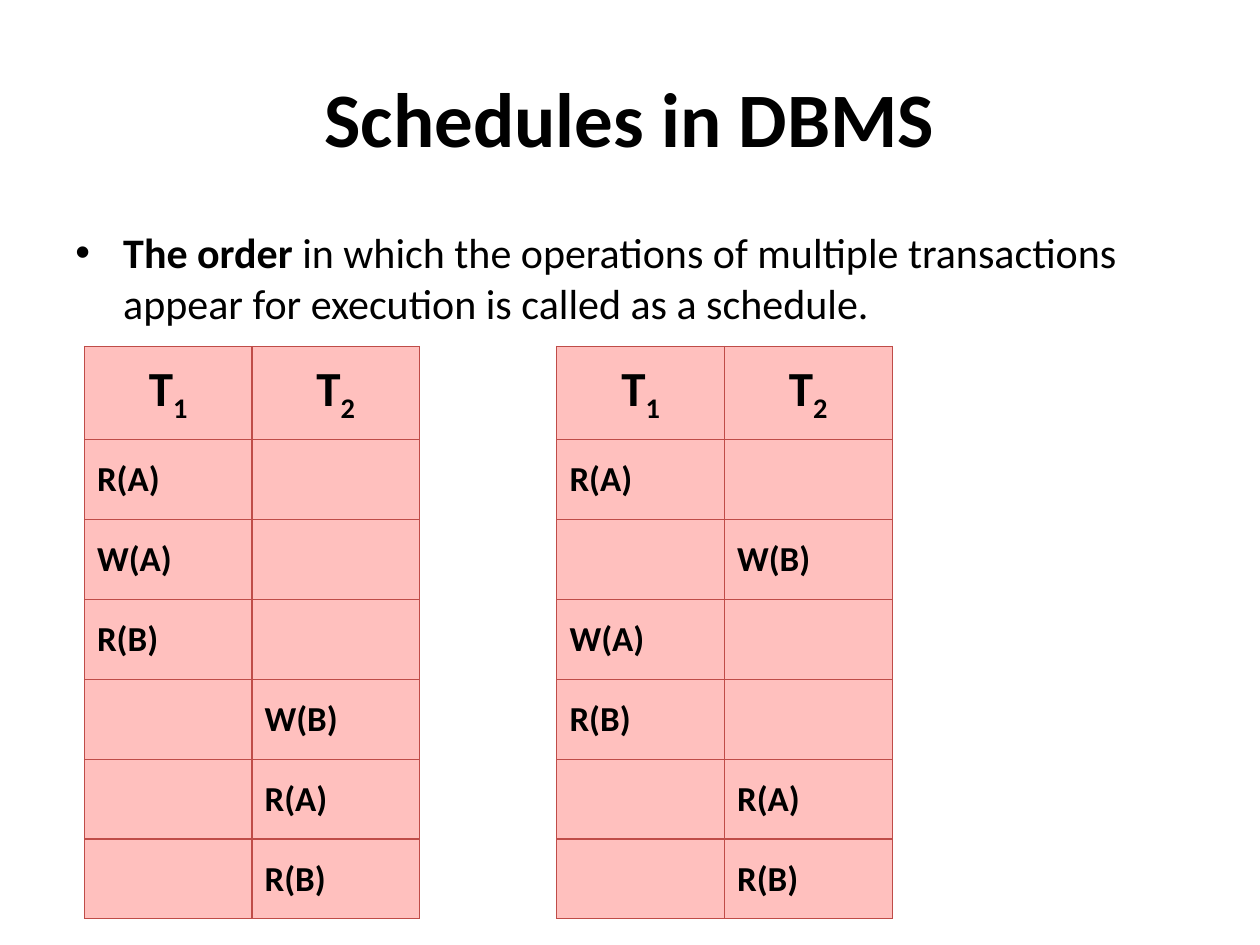
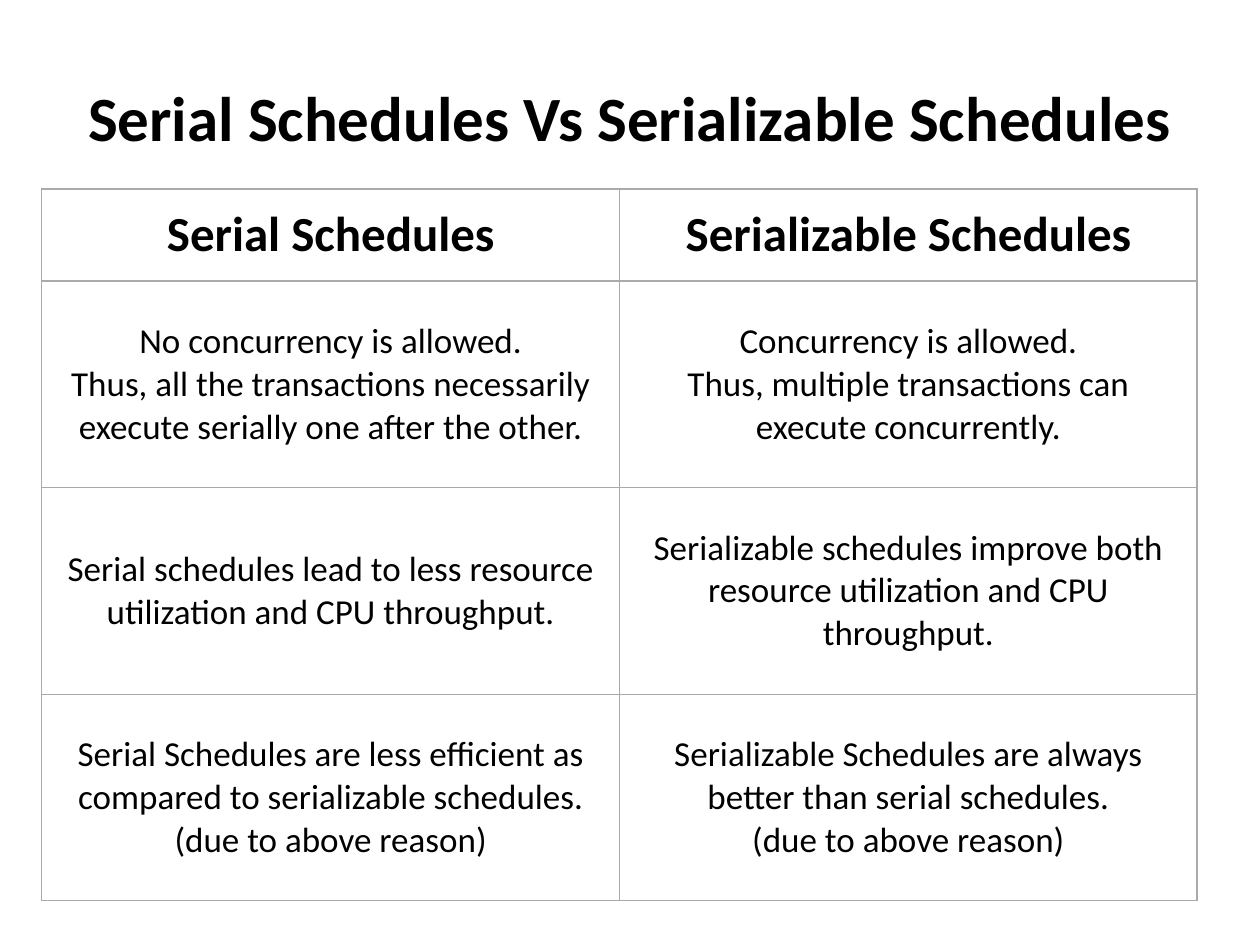
import pptx
import pptx.util
import pptx.dml.color
import pptx.enum.text
import pptx.oxml
import pptx.oxml.ns
from lxml import etree

Inches = pptx.util.Inches
Pt = pptx.util.Pt
CENTER = pptx.enum.text.PP_ALIGN.CENTER
LEFT = pptx.enum.text.PP_ALIGN.LEFT
MIDDLE = pptx.enum.text.MSO_ANCHOR.MIDDLE
qn = pptx.oxml.ns.qn

COLORS = {
    "text": "000000",
    "paper": "FFFFFF",
    "pink": "FFC0BE",
    "red line": "BF4C48",
    "gray line": "AAAAAA",
}
FONT = "Calibri"


def write_spans(para, spans, size, align):
    """Fill a paragraph with (text, bold, subscript) spans."""
    para.alignment = align
    for text, bold, subscript in spans:
        span = para.add_run()
        span.text = text
        span.font.name = FONT
        span.font.size = Pt(size)
        span.font.bold = bold
        span.font.color.rgb = pptx.dml.color.RGBColor.from_string(COLORS["text"])
        if subscript:
            span.font._element.set("baseline", "-25000")


def add_grid(page, left, top, widths, heights, line, fill):
    """Add a plain table with thin borders and one fill colour."""
    frame = page.shapes.add_table(len(heights), len(widths), Inches(left), Inches(top),
                                  Inches(sum(widths)), Inches(sum(heights)))
    grid = frame.table
    grid.first_row = grid.horz_banding = False
    for column, width in zip(grid.columns, widths):
        column.width = Inches(width)
    for row, height in zip(grid.rows, heights):
        row.height = Inches(height)
    for cell in grid.iter_cells():
        cell.vertical_anchor = MIDDLE
        cell_format = cell._tc.get_or_add_tcPr()
        for side in ("lnL", "lnR", "lnT", "lnB"):
            border = etree.SubElement(cell_format, qn("a:" + side), w=str(Pt(0.75)))
            paint = etree.SubElement(border, qn("a:solidFill"))
            etree.SubElement(paint, qn("a:srgbClr"), val=COLORS[line])
        cell.fill.solid()
        cell.fill.fore_color.rgb = pptx.dml.color.RGBColor.from_string(COLORS[fill])
    return grid


deck = pptx.Presentation()
deck.slide_width, deck.slide_height = Inches(10), Inches(7.5)

# Pages with their titles
pages = []
for title, size in (("Schedules in DBMS", 44),
                    ("Serial Schedules Vs Serializable Schedules", 36)):
    page = deck.slides.add_slide(deck.slide_layouts[6])
    box = page.shapes.add_textbox(Inches(0.5), Inches(0.3), Inches(9), Inches(1.25))
    box.text_frame.word_wrap = True
    box.text_frame.vertical_anchor = MIDDLE
    write_spans(box.text_frame.paragraphs[0], [(title, True, False)], size, CENTER)
    pages.append(page)
schedules_page, comparison_page = pages

# Definition of a schedule
box = schedules_page.shapes.add_textbox(Inches(0.5), Inches(1.75), Inches(9), Inches(4.95))
box.text_frame.word_wrap = True
para = box.text_frame.paragraphs[0]
write_spans(para, [
    ("The order", True, False),
    (" in which the operations of multiple transactions appear for execution "
     "is called as a schedule.", False, False),
], 24, LEFT)
para.space_before = Pt(4.8)
para_format = para._p.get_or_add_pPr()
para_format.set("marL", str(Inches(0.38)))
para_format.set("indent", str(-Inches(0.38)))
etree.SubElement(para_format, qn("a:buFont"), typeface="Arial")
etree.SubElement(para_format, qn("a:buChar"), char="•")

# Two schedules: each step is (transaction number, operation)
schedules = [
    [(1, "R(A)"), (1, "W(A)"), (1, "R(B)"), (2, "W(B)"), (2, "R(A)"), (2, "R(B)")],
    [(1, "R(A)"), (2, "W(B)"), (1, "W(A)"), (1, "R(B)"), (2, "R(A)"), (2, "R(B)")],
]
for index, steps in enumerate(schedules):
    grid = add_grid(schedules_page, 0.67 + 3.75 * index, 2.75, [1.33] * 2,
                    [0.74] + [0.63] * len(steps), "red line", "pink")
    for number in (1, 2):
        cell = grid.cell(0, number - 1)
        cell.margin_top = cell.margin_bottom = Inches(0.1)
        write_spans(cell.text_frame.paragraphs[0],
                    [("T", True, False), (str(number), True, True)], 28, CENTER)
    for row, (number, operation) in enumerate(steps, start=1):
        cell = grid.cell(row, number - 1)
        cell.margin_top = cell.margin_bottom = Inches(0.15)
        write_spans(cell.text_frame.paragraphs[0], [(operation, True, False)], 20, LEFT)

# Comparison table: each cell is a list of paragraphs
comparison = [
    (["Serial Schedules"], ["Serializable Schedules"]),
    (["No concurrency is allowed.",
      "Thus, all the transactions necessarily execute serially one after the other."],
     ["Concurrency is allowed.",
      "Thus, multiple transactions can execute concurrently."]),
    (["Serial schedules lead to less resource utilization and CPU throughput."],
     ["Serializable schedules improve both resource utilization and CPU throughput."]),
    (["Serial Schedules are less efficient as compared to serializable schedules.",
      "(due to above reason)"],
     ["Serializable Schedules are always better than serial schedules.",
      "(due to above reason)"]),
]
grid = add_grid(comparison_page, 0.33, 1.5, [4.59, 4.58], [0.73] + [1.64] * 3,
                "gray line", "paper")
for row, entries in enumerate(comparison):
    is_header = row == 0
    for column, lines in enumerate(entries):
        cell = grid.cell(row, column)
        cell.margin_top = cell.margin_bottom = Inches(0.08)
        cell.text_frame.text = "\n".join(lines)
        for para, line in zip(cell.text_frame.paragraphs, lines):
            para.clear()
            write_spans(para, [(line, is_header, False)], 28 if is_header else 20, CENTER)

deck.save("out.pptx")
